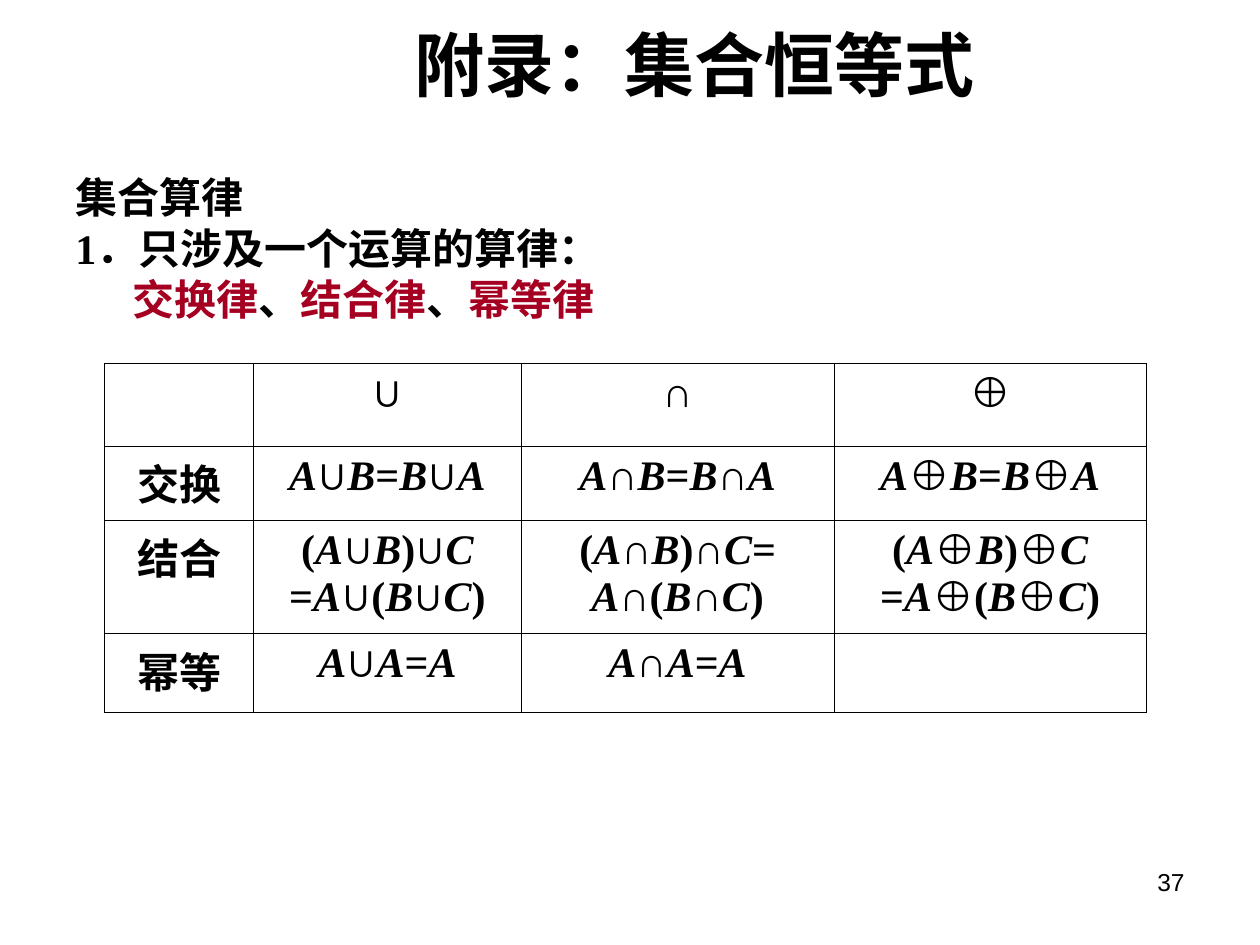
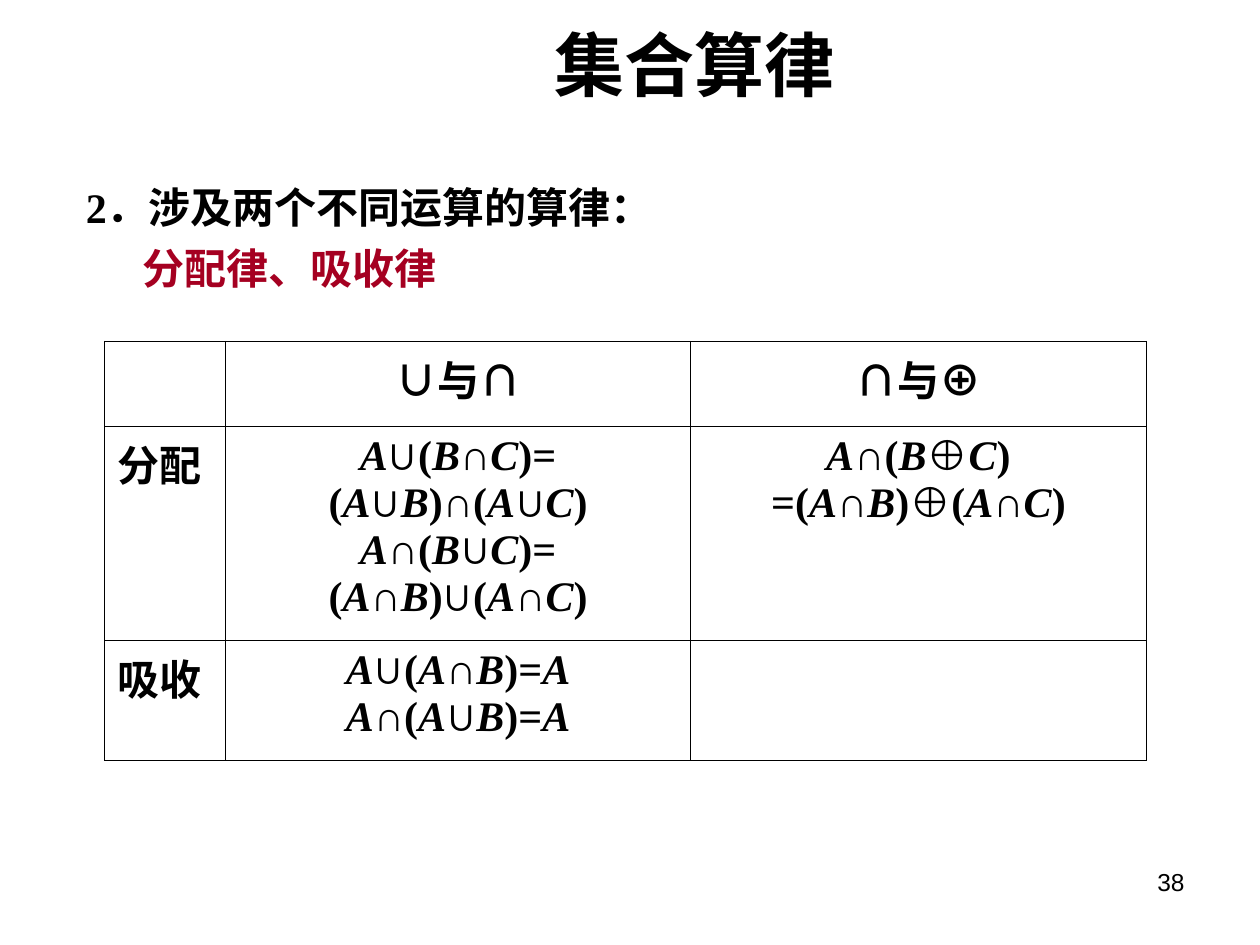
from itertools import groupby
from lxml import etree
from pptx import Presentation
from pptx.dml.color import RGBColor
from pptx.enum import text as t
from pptx.oxml import ns
from pptx.util import Cm, Pt

BLACK, RED = "000000", "A50021"
SANS, SERIF, HAN = "Arial", "Times New Roman", "Noto Sans CJK SC"
MID, LEFT, RIGHT = t.PP_ALIGN.CENTER, t.PP_ALIGN.LEFT, t.PP_ALIGN.RIGHT


def add_run(par, words, font, size=24, color=BLACK, bold=True, slant=False):
    run = par.add_run()
    run.text = words
    run.font.name, run.font.size = font, Pt(size)
    run.font.bold, run.font.italic = bold, slant
    run.font.color.rgb = RGBColor.from_string(color)
    east = etree.SubElement(run._r.get_or_add_rPr(), ns.qn("a:ea"))
    east.set("typeface", HAN)


def add_box(slide, left, top, width, height, anchor=t.MSO_ANCHOR.TOP):
    frame = slide.shapes.add_textbox(Cm(left), Cm(top), Cm(width), Cm(height)).text_frame
    frame.word_wrap = True
    frame.vertical_anchor = anchor
    return frame


pages = [
    dict(
        title="附录：集合恒等式", number="37", pitch=0.8, height=3.2,
        lines=[
            (0, [("集合算律", BLACK)]),
            (0, [("1．只涉及一个运算的算律：", BLACK)]),
            (1.15, [("交换律", RED), ("、", BLACK), ("结合律", RED), ("、", BLACK), ("幂等律", RED)]),
        ],
        top=7.32, cols=[3, 5.4, 6.3, 6.3], rows=[1.67, 1.49, 2.29, 1.58], side=MID,
        cells=[
            ["", "∪", "∩", "⊕"],
            ["交换", "A∪B=B∪A", "A∩B=B∩A", "A⊕B=B⊕A"],
            ["结合", "(A∪B)∪C\n=A∪(B∪C)", "(A∩B)∩C=\nA∩(B∩C)", "(A⊕B)⊕C\n=A⊕(B⊕C)"],
            ["幂等", "A∪A=A", "A∩A=A", ""],
        ],
    ),
    dict(
        title="集合算律", number="38", pitch=1, height=2.6,
        lines=[
            (0.21, [("2．涉及两个不同运算的算律：", BLACK)]),
            (1.36, [("分配律、吸收律", RED)]),
        ],
        top=6.88, cols=[2.44, 9.37, 9.19], rows=[1.71, 4.31, 2.42], side=LEFT,
        cells=[
            ["", "∪与∩", "∩与⊕"],
            ["分配", "A∪(B∩C)=\n(A∪B)∩(A∪C)\nA∩(B∪C)=\n(A∩B)∪(A∩C)", "A∩(B⊕C)\n=(A∩B)⊕(A∩C)"],
            ["吸收", "A∪(A∩B)=A\nA∩(A∪B)=A", ""],
        ],
    ),
]

deck = Presentation()
deck.slide_width, deck.slide_height = Cm(25.4), Cm(19.05)

for page in pages:
    slide = deck.slides.add_slide(deck.slide_layouts[6])

    par = add_box(slide, 18.2, 17.35, 5.93, 1.32).paragraphs[0]
    par.alignment = RIGHT
    add_run(par, page["number"], SANS, 14, bold=False)

    par = add_box(slide, 5.5, 0.7, 17, 1.17, t.MSO_ANCHOR.MIDDLE).paragraphs[0]
    par.alignment = MID
    add_run(par, page["title"], SANS, 40)

    frame = add_box(slide, 1.27, 3.53, 22.86, page["height"])
    for row, (indent, parts) in enumerate(page["lines"]):
        par = frame.add_paragraph() if row else frame.paragraphs[0]
        par.space_before, par.line_spacing = Pt(6), page["pitch"]
        par._p.get_or_add_pPr().set("marL", str(Cm(indent)))
        for words, color in parts:
            add_run(par, words, SERIF, color=color)

    rows, cols = page["rows"], page["cols"]
    grid = slide.shapes.add_table(len(rows), len(cols), Cm(2.11), Cm(page["top"]),
                                  Cm(sum(cols)), Cm(sum(rows))).table
    grid.first_row = grid.horz_banding = False
    for col, width in zip(grid.columns, cols):
        col.width = Cm(width)
    for y, height in enumerate(rows):
        grid.rows[y].height = Cm(height)
        for x, words in enumerate(page["cells"][y]):
            cell = grid.cell(y, x)
            props = cell._tc.get_or_add_tcPr()
            for edge in ("lnL", "lnR", "lnT", "lnB"):
                line = etree.SubElement(props, ns.qn("a:" + edge), w=str(Pt(0.45)))
                fill = etree.SubElement(line, ns.qn("a:solidFill"))
                etree.SubElement(fill, ns.qn("a:srgbClr"), val=BLACK)
            cell.fill.background()
            for row, law in enumerate(words.split("\n") if words else []):
                par = cell.text_frame.add_paragraph() if row else cell.text_frame.paragraphs[0]
                par.alignment = MID if x else page["side"]
                for font, chars in groupby(law, lambda c: SANS if c in "∪∩⊕" else
                                           "slant" if c in "ABC" else
                                           SERIF if c in "()=" else HAN):
                    slant = font == "slant"
                    add_run(par, "".join(chars), SERIF if slant else font, slant=slant)

deck.save("out.pptx")
